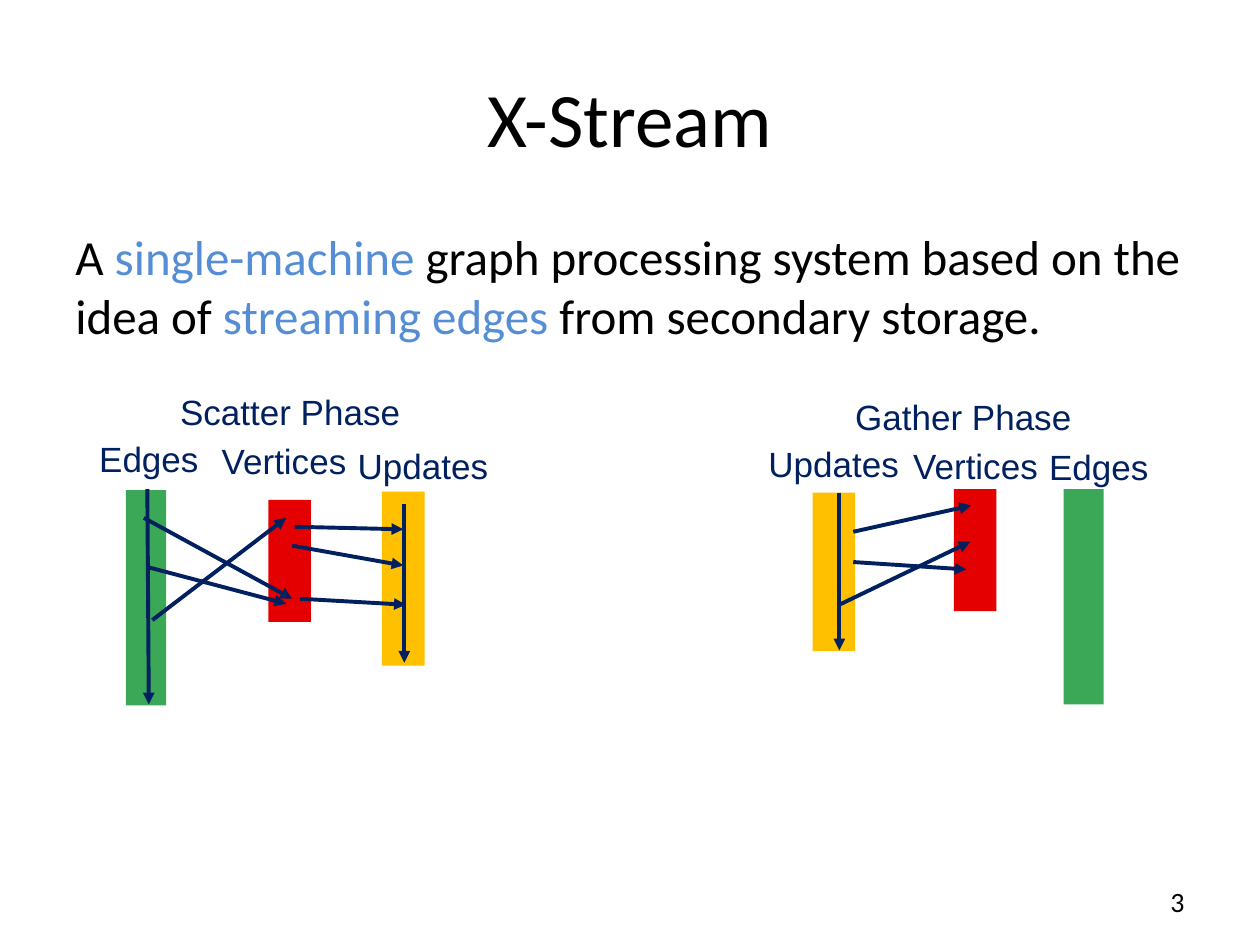
from lxml import etree
from pptx import Presentation
from pptx.dml.color import RGBColor
from pptx.enum import shapes, text
from pptx.oxml import ns
from pptx.util import Cm, Pt

BLACK = RGBColor(0x00, 0x00, 0x00)
BLUE = RGBColor(0x55, 0x8E, 0xD5)
NAVY = RGBColor(0x00, 0x20, 0x60)
GREEN = RGBColor(0x3A, 0xA8, 0x57)
RED = RGBColor(0xE5, 0x00, 0x00)
AMBER = RGBColor(0xFF, 0xC0, 0x00)

TITLE = "X-Stream"
SUMMARY = [
    ("A ", BLACK),
    ("single-machine", BLUE),
    (" graph processing system based on the idea of ", BLACK),
    ("streaming edges", BLUE),
    (" from secondary storage.", BLACK),
]
PAGE_NUMBER = "3"

# Bar colour, bar width and label width for each kind of data, in cm
KINDS = {
    "Edges": (GREEN, 0.81, 2.6),
    "Vertices": (RED, 0.86, 3.2),
    "Updates": (AMBER, 0.86, 3.33),
}
# Columns: kind, label left and top, bar left, top and height, in cm
# Arrows: start x, start y, end x, end y, in cm
PHASES = [
    {
        "name": "Scatter Phase",
        "at": (3.38, 7.75),
        "columns": [
            ("Edges", 1.75, 8.69, 2.54, 9.88, 4.34),
            ("Vertices", 4.22, 8.74, 5.41, 10.08, 2.46),
            ("Updates", 6.96, 8.84, 7.7, 9.91, 3.51),
        ],
        "arrows": [
            (2.97, 9.86, 3, 14.2),
            (2.9, 10.44, 5.89, 12.07),
            (3.07, 12.5, 5.77, 10.44),
            (2.97, 11.43, 5.77, 12.17),
            (5.94, 10.62, 8.13, 10.67),
            (5.89, 11, 8.13, 11.4),
            (6.05, 12.07, 8.18, 12.19),
            (8.15, 10.16, 8.15, 13.36),
        ],
    },
    {
        "name": "Gather Phase",
        "at": (16.99, 7.85),
        "columns": [
            ("Updates", 15.24, 8.79, 16.38, 9.93, 3.2),
            ("Vertices", 18.16, 8.84, 19.23, 9.86, 2.46),
            ("Edges", 20.9, 8.86, 21.44, 9.86, 4.34),
        ],
        "arrows": [
            (16.92, 9.93, 16.92, 13.11),
            (17.2, 11.33, 19.48, 11.48),
            (17.2, 10.72, 19.58, 10.19),
            (16.92, 12.19, 19.56, 10.92),
        ],
    },
]


def write(shape, runs, size, font, align=text.PP_ALIGN.LEFT,
          anchor=text.MSO_ANCHOR.TOP):
    frame = shape.text_frame
    frame.word_wrap = True
    frame.vertical_anchor = anchor
    paragraph = frame.paragraphs[0]
    paragraph.alignment = align
    for words, color in runs:
        run = paragraph.add_run()
        run.text = words
        run.font.size = Pt(size)
        run.font.name = font
        run.font.color.rgb = color


def add_text(slide, box, *args, **options):
    write(slide.shapes.add_textbox(*map(Cm, box)), *args, **options)


def add_label(slide, words, left, top, width):
    add_text(slide, (left, top, width, 1.02), [(words, NAVY)], 20, "Arial")


def add_bar(slide, box, color):
    bar = slide.shapes.add_shape(shapes.MSO_SHAPE.RECTANGLE, *map(Cm, box))
    bar.shadow.inherit = False
    bar.fill.solid()
    bar.fill.fore_color.rgb = color
    bar.line.fill.background()


def add_arrow(slide, ends):
    arrow = slide.shapes.add_connector(
        shapes.MSO_CONNECTOR.STRAIGHT, *map(Cm, ends))
    arrow.line.color.rgb = NAVY
    arrow.line.width = Pt(2.25)
    line = arrow.line._get_or_add_ln()
    etree.SubElement(line, ns.qn("a:tailEnd"), type="triangle")
    etree.SubElement(arrow._element.spPr, ns.qn("a:effectLst"))


def add_phase(slide, phase):
    add_label(slide, phase["name"], *phase["at"], 5.08)
    for kind, label_left, label_top, left, top, height in phase["columns"]:
        color, bar_width, label_width = KINDS[kind]
        add_bar(slide, (left, top, bar_width, height), color)
        add_label(slide, kind, label_left, label_top, label_width)
    for ends in phase["arrows"]:
        add_arrow(slide, ends)


def main():
    presentation = Presentation()
    presentation.slide_width = Cm(25.4)
    presentation.slide_height = Cm(19.05)
    slide = presentation.slides.add_slide(presentation.slide_layouts[5])

    title = slide.shapes.title
    title.left, title.top, title.width, title.height = map(
        Cm, (1.27, 0.76, 22.86, 3.18))
    write(title, [(TITLE, BLACK)], 44, "Calibri",
          text.PP_ALIGN.CENTER, text.MSO_ANCHOR.MIDDLE)

    add_text(slide, (1.27, 4.45, 22.86, 12.57), SUMMARY, 28, "Calibri")
    for phase in PHASES:
        add_phase(slide, phase)
    add_text(slide, (18.21, 17.65, 5.92, 1.02), [(PAGE_NUMBER, BLACK)], 16,
             "Calibri", align=text.PP_ALIGN.RIGHT,
             anchor=text.MSO_ANCHOR.MIDDLE)

    presentation.save("out.pptx")


if __name__ == "__main__":
    main()
